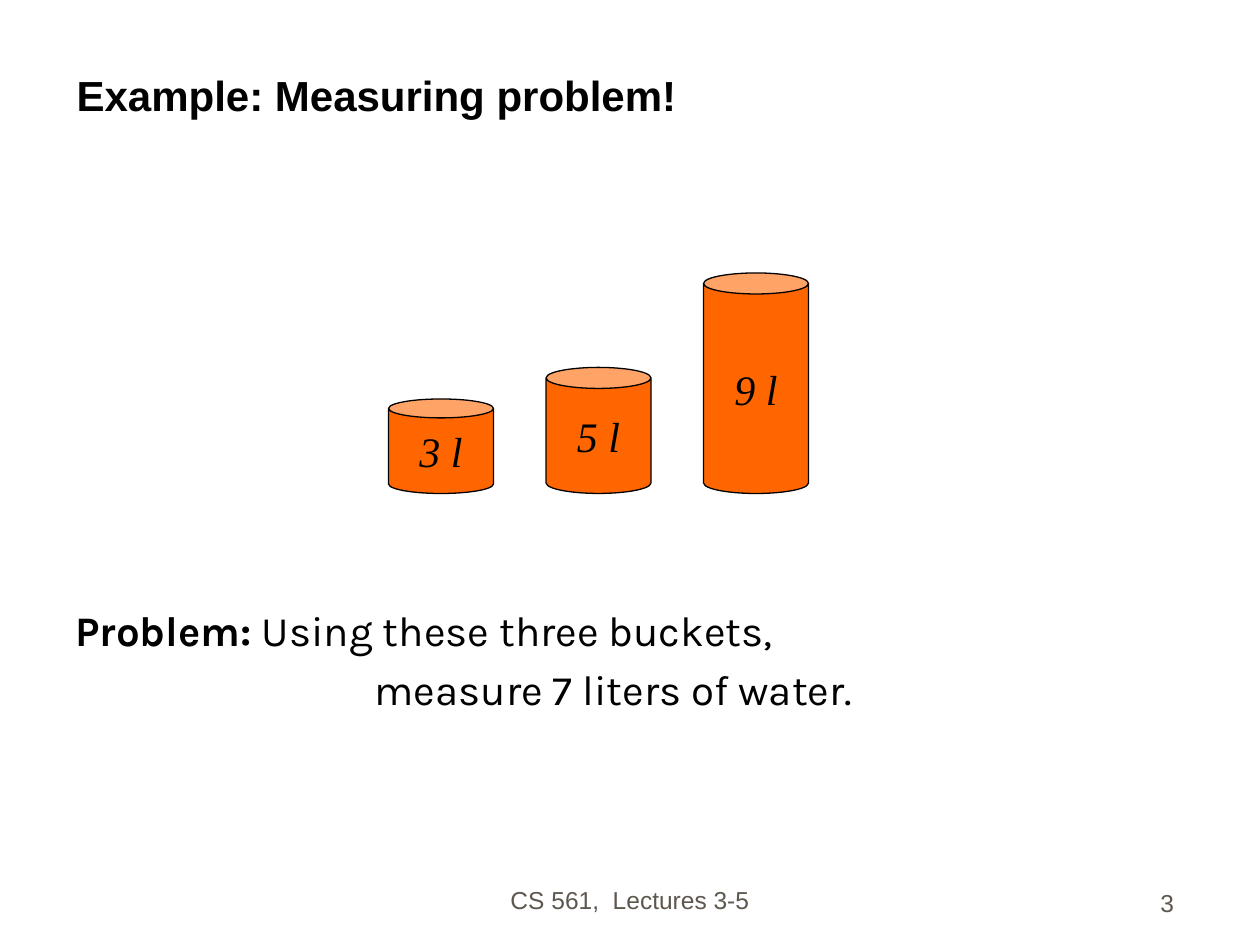
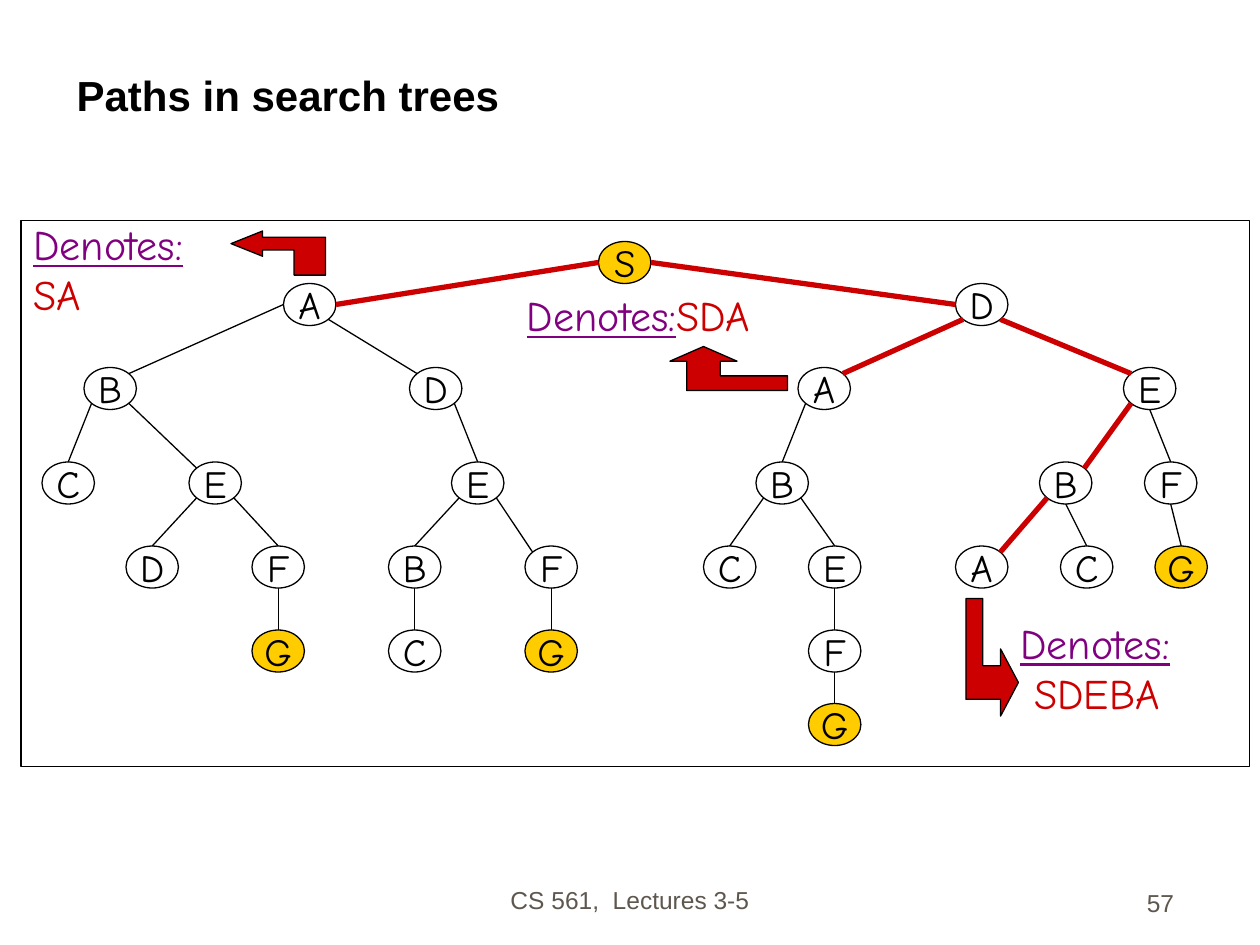
from lxml import etree
from pptx import Presentation
from pptx.dml.color import RGBColor
from pptx.enum.shapes import MSO_CONNECTOR, MSO_SHAPE
from pptx.enum.text import MSO_ANCHOR, MSO_AUTO_SIZE, PP_ALIGN
from pptx.oxml.ns import qn
from pptx.util import Pt

EMU_PER_PX = 7620
TITLE_ONLY = 5
CAN, OVAL, RECTANGLE = MSO_SHAPE.CAN, MSO_SHAPE.OVAL, MSO_SHAPE.RECTANGLE
STRAIGHT = MSO_CONNECTOR.STRAIGHT
TOP, MIDDLE, BOTTOM = MSO_ANCHOR.TOP, MSO_ANCHOR.MIDDLE, MSO_ANCHOR.BOTTOM
LEFT, CENTER, RIGHT = PP_ALIGN.LEFT, PP_ALIGN.CENTER, PP_ALIGN.RIGHT

COLORS = {
    "ink": "000000",
    "paper": "FFFFFF",
    "footer": "5E574E",
    "bucket": "FF6600",
    "goal": "FFCC00",
    "label": "800080",
    "path": "CC0000",
}
HEADING_FONT, BODY_FONT = "Arial", "Karla"
BUCKET_FONT, TREE_FONT = "Times New Roman", "Comic Neue"

TITLE_BOX = (61, 30, 1070, 90)
FOOTER_BOX = (410, 817, 380, 60)
NUMBER_BOX = (880, 820, 250, 60)
BUCKETS_BOX = (370, 260, 400, 210)
PROBLEM_BOX = (60, 570, 1073, 90)
TREE_BOX = (20, 210, 1170, 520)

BUCKET_WIDTH, BUCKET_STEP = 100, 150
BUCKET_HEIGHTS = {"3 l": 90, "5 l": 120, "9 l": 210}

NODE_WIDTH, NODE_HEIGHT = 50, 40
LEVEL_TOPS = (20, 60, 140, 230, 310, 390, 460)
NODE_LEFTS = {
    "S": 550,
    "SA": 250, "SD": 890,
    "SAB": 60, "SAD": 370, "SDA": 740, "SDE": 1050,
    "SABC": 20, "SABE": 160, "SADE": 410,
    "SDAB": 700, "SDEB": 970, "SDEF": 1070,
    "SABED": 100, "SABEF": 220, "SADEB": 350, "SADEF": 480, "SDABC": 650,
    "SDABE": 750, "SDEBA": 890, "SDEBC": 990, "SDEFG": 1080,
    "SABEFG": 220, "SADEBC": 350, "SADEFG": 480, "SDABEF": 750,
    "SDABEFG": 750,
}
DIAGONAL = 0.71
SITES = {
    "top": (0, -1), "bottom": (0, 1), "left": (-1, 0), "right": (1, 0),
    "top left": (-DIAGONAL, -DIAGONAL), "top right": (DIAGONAL, -DIAGONAL),
    "bottom left": (-DIAGONAL, DIAGONAL), "bottom right": (DIAGONAL, DIAGONAL),
}
EDGE_SITES = {
    "SA": ("left", "right"),
    "SD": ("right", "left"),
    "SAB": ("left", "top right"),
    "SAD": ("bottom right", "top left"),
    "SDA": ("bottom left", "top right"),
    "SDE": ("bottom right", "top left"),
    "SABE": ("bottom right", "top left"),
    "SDEB": ("bottom left", "top right"),
    "SADEF": ("bottom right", "top left"),
    "SDEBA": ("bottom left", "top right"),
}
EDGE_SITES.update({path: ("bottom left", "top")
                   for path in ("SABC", "SDAB", "SABED", "SADEB", "SDABC")})
EDGE_SITES.update({path: ("bottom right", "top")
                   for path in ("SADE", "SABEF", "SDABE")})
MARKED_PATHS = ("SA", "SD", "SDA", "SDE", "SDEB", "SDEBA")

PATH_LABELS = (
    ((0, -8, 188, 108), [["Denotes:"], ["SA"]]),
    ((470, 60, 280, 60), [["Denotes:", "SDA"]]),
    ((940, 372, 199, 108), [["Denotes:"], [" SDEBA"]]),
)
PATH_ARROWS = (
    ((200, 22), (230, 34), (230, 28), (260, 28), (260, 52),
     (290, 52), (290, 16), (230, 16), (230, 10)),
    ((650, 120), (682, 134), (666, 134), (666, 148), (730, 148),
     (730, 162), (634, 162), (634, 134), (618, 134)),
    ((950, 440), (933, 408), (933, 424), (916, 424), (916, 360),
     (900, 360), (900, 456), (933, 456), (933, 472)),
)


def px(*lengths):
    return [round(length * EMU_PER_PX) for length in lengths]


def color(name):
    return RGBColor.from_string(COLORS[name])


def shifted(box, left, top):
    return (box[0] + left, box[1] + top)


def set_font(font, name, size, color_name="ink", **styles):
    font.name, font.size = name, Pt(size)
    font.color.rgb = color(color_name)
    for style, value in styles.items():
        setattr(font, style, value)


def paint(shape, fill_name):
    shape.shadow.inherit = False
    shape.fill.solid()
    shape.fill.fore_color.rgb = color(fill_name)
    shape.line.color.rgb = color("ink")
    shape.line.width = Pt(0.75)


def add_figure(slide, kind, box, fill_name):
    shape = slide.shapes.add_shape(kind, *px(*box))
    paint(shape, fill_name)
    return shape


def write_line(frame, text, alignment, anchor):
    frame.vertical_anchor = anchor
    frame.text = text
    paragraph = frame.paragraphs[0]
    paragraph.alignment = alignment
    return paragraph


def add_text_frame(slide, box):
    frame = slide.shapes.add_textbox(*px(*box)).text_frame
    frame.word_wrap = True
    return frame


def label_figure(shape, text, font_name, size, italic=False):
    shape.text_frame.word_wrap = False
    paragraph = write_line(shape.text_frame, text, CENTER, MIDDLE)
    set_font(paragraph.font, font_name, size, italic=italic)


def add_title_slide(presentation, title_text, number):
    slide = presentation.slides.add_slide(presentation.slide_layouts[TITLE_ONLY])
    title = slide.shapes.title
    title.left, title.top, title.width, title.height = px(*TITLE_BOX)
    title.text_frame.auto_size = MSO_AUTO_SIZE.NONE
    paragraph = write_line(title.text_frame, title_text, LEFT, BOTTOM)
    set_font(paragraph.font, HEADING_FONT, 24, bold=True)
    for box, text, alignment in (
        (FOOTER_BOX, "CS 561,  Lectures 3-5", CENTER),
        (NUMBER_BOX, str(number), RIGHT),
    ):
        paragraph = write_line(add_text_frame(slide, box), text, alignment, BOTTOM)
        set_font(paragraph.font, HEADING_FONT, 14, "footer")
    return slide


def add_buckets(slide, box):
    for index, (volume, height) in enumerate(BUCKET_HEIGHTS.items()):
        left, top = shifted(box, index * BUCKET_STEP, box[3] - height)
        bucket = add_figure(slide, CAN, (left, top, BUCKET_WIDTH, height), "bucket")
        bucket.adjustments[0] = 0.2
        label_figure(bucket, volume, BUCKET_FONT, 24, italic=True)


def add_problem(slide, box):
    frame = add_text_frame(slide, box)
    question = frame.paragraphs[0]
    for text, bold in (("Problem:", True), (" Using these three buckets,", False)):
        run = question.add_run()
        run.text = text
        set_font(run.font, BODY_FONT, 24, bold=bold)
    task = frame.add_paragraph()
    task.text = "measure 7 liters of water."
    set_font(task.font, BODY_FONT, 24)
    task._p.get_or_add_pPr().set("marL", str(px(285)[0]))
    for paragraph in frame.paragraphs:
        paragraph.space_before = Pt(5)


def node_corner(box, path):
    return shifted(box, NODE_LEFTS[path], LEVEL_TOPS[len(path) - 1])


def node_site(box, path, site):
    left, top = node_corner(box, path)
    across, down = SITES[site]
    return (left + NODE_WIDTH / 2 * (1 + across), top + NODE_HEIGHT / 2 * (1 + down))


def add_edge(slide, box, path):
    start_site, end_site = EDGE_SITES.get(path, ("bottom", "top"))
    start = node_site(box, path[:-1], start_site)
    end = node_site(box, path, end_site)
    edge = slide.shapes.add_connector(STRAIGHT, *px(*start, *end))
    marked = path in MARKED_PATHS
    edge.line.color.rgb = color("path" if marked else "ink")
    edge.line.width = Pt(3 if marked else 0.75)
    etree.SubElement(edge._element.spPr, qn("a:effectLst"))


def add_path_label(slide, box, lines):
    frame = add_text_frame(slide, box)
    frame.vertical_anchor = TOP
    for index, texts in enumerate(lines):
        paragraph = frame.add_paragraph() if index else frame.paragraphs[0]
        for text in texts:
            run = paragraph.add_run()
            run.text = text
            is_caption = text == "Denotes:"
            set_font(run.font, TREE_FONT, 24, "label" if is_caption else "path",
                     underline=is_caption)


def add_path_arrow(slide, box, points):
    start, *others = [px(*shifted(box, *point)) for point in points]
    builder = slide.shapes.build_freeform(*start)
    builder.add_line_segments(others, close=True)
    paint(builder.convert_to_shape(), "path")


def add_search_tree(slide, box):
    add_figure(slide, RECTANGLE, box, "paper")
    for path in NODE_LEFTS:
        fill_name = "goal" if path[-1] in "SG" else "paper"
        node_box = (*node_corner(box, path), NODE_WIDTH, NODE_HEIGHT)
        node = add_figure(slide, OVAL, node_box, fill_name)
        label_figure(node, path[-1], TREE_FONT, 22)
    for path in NODE_LEFTS:
        if len(path) > 1:
            add_edge(slide, box, path)
    for label_box, lines in PATH_LABELS:
        add_path_label(slide, (*shifted(box, *label_box[:2]), *label_box[2:]), lines)
    for points in PATH_ARROWS:
        add_path_arrow(slide, box, points)


def main():
    presentation = Presentation()
    presentation.slide_width, presentation.slide_height = px(1200, 900)

    slide = add_title_slide(presentation, "Example: Measuring problem!", 3)
    add_buckets(slide, BUCKETS_BOX)
    add_problem(slide, PROBLEM_BOX)

    slide = add_title_slide(presentation, "Paths in search trees", 57)
    add_search_tree(slide, TREE_BOX)

    presentation.save("out.pptx")


if __name__ == "__main__":
    main()
